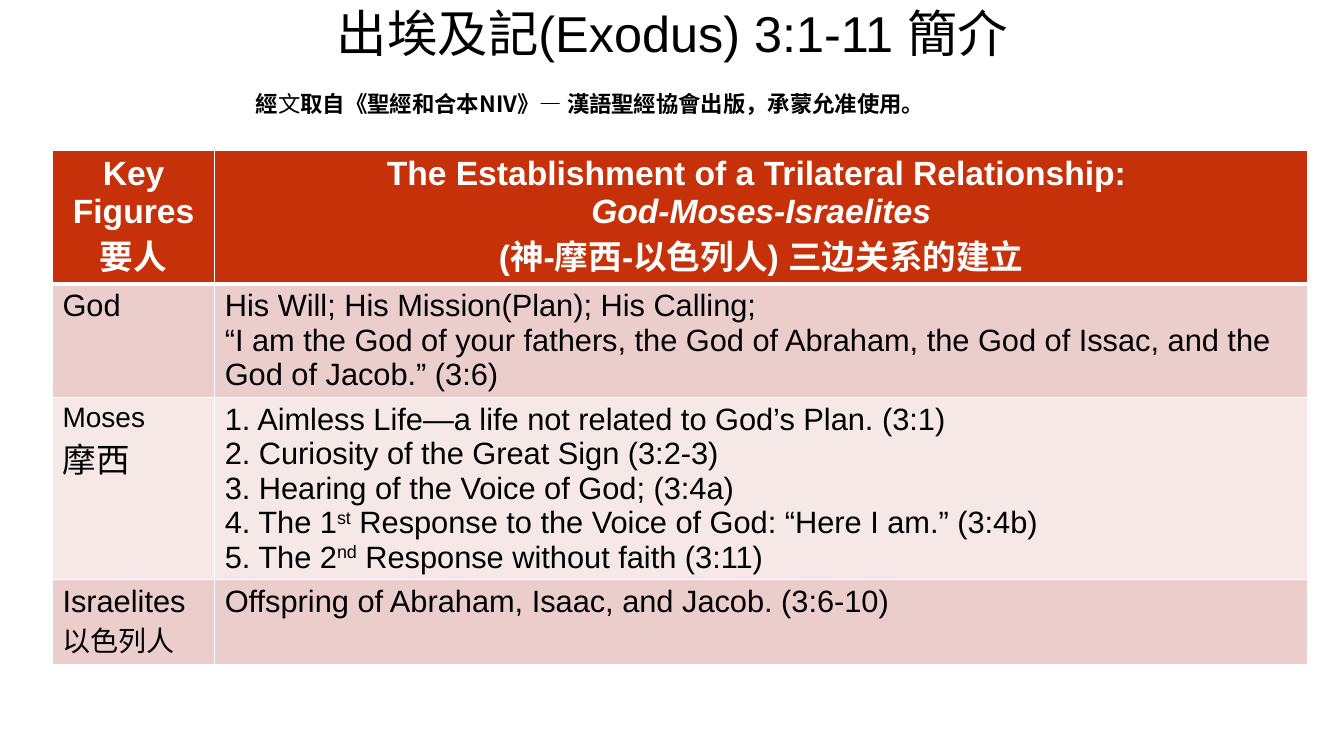
from lxml import etree
from pptx import Presentation
from pptx.dml.color import RGBColor
from pptx.enum.text import MSO_ANCHOR as Anchor, PP_ALIGN as Align
from pptx.oxml.ns import qn
from pptx.util import Inches, Pt

LATIN, CJK = "Arial", "Noto Sans CJK TC"
WHITE, BLACK, RED = "FFFFFF", "000000", "C73109"
DARK_BAND, LIGHT_BAND = "EBCECC", "F5E8E7"

# Each cell is a list of paragraphs; each paragraph is a list of (text, style) runs.
HEADER = [
    [[("Key Figures要人", {})]],
    [[("The Establishment of a Trilateral Relationship: \n", {}),
      ("God-Moses-Israelites\n", {"italic": True}),
      ("(神-摩西-以色列人) 三边关系的建立", {})]],
]
FIGURES = [
    ([[("God", {})]],
     [[("His Will; His Mission(Plan); His Calling;", {})],
      [("“I am the God of your fathers, the God of Abraham, the God of Issac, "
        "and the God of Jacob.” (3:6)", {})]]),
    ([[("Moses\n", {"size": 20}), ("摩西", {"size": 24})]],
     [[("1. Aimless Life—a life not related to God’s Plan. (3:1)", {})],
      [("2. Curiosity of the Great Sign (3:2-3)", {})],
      [("3. Hearing of the Voice of God; (3:4a)", {})],
      [("4. The 1", {}), ("st", {"raised": True}),
       (" Response to the Voice of God: “Here I am.” (3:4b)", {})],
      [("5. The 2", {}), ("nd", {"raised": True}),
       (" Response without faith (3:11)", {})]]),
    ([[("Israelites", {})], [("以色列人", {"size": 20})]],
     [[("Offspring of Abraham, Isaac, and Jacob. (3:6-10)", {})]]),
]
COLUMN_WIDTHS = [1.61, 10.84]
ROW_HEIGHTS = [1.31, 1.12, 1.81, 0.84]


def color(hex_string):
    return RGBColor.from_string(hex_string)


def add_run(paragraph, text, size, ink=BLACK, bold=False, italic=False,
            raised=False, font=LATIN):
    """Add one run; a closing newline becomes a line break."""
    run = paragraph.add_run()
    run.text = text.rstrip("\n")
    run.font.name, run.font.size = font, Pt(size)
    run.font.bold, run.font.italic = bold, italic
    run.font.color.rgb = color(ink)
    properties = run.font._element
    etree.SubElement(properties, qn("a:ea")).set("typeface", CJK)
    if raised:
        properties.set("baseline", "30000")
    if text.endswith("\n"):
        paragraph.add_line_break()


def fill_text(frame, paragraphs, align=Align.LEFT, **defaults):
    for index, runs in enumerate(paragraphs):
        paragraph = frame.add_paragraph() if index else frame.paragraphs[0]
        paragraph.alignment = align
        for text, style in runs:
            add_run(paragraph, text, **{**defaults, **style})


def set_borders(cell, bottom_width):
    """White cell borders; line elements go before the fill."""
    properties = cell._tc.get_or_add_tcPr()
    for index, side in enumerate(("lnL", "lnR", "lnT", "lnB")):
        line = etree.Element(qn(f"a:{side}"))
        line.set("w", str(Pt(bottom_width if side == "lnB" else 1)))
        solid = etree.SubElement(line, qn("a:solidFill"))
        etree.SubElement(solid, qn("a:srgbClr")).set("val", WHITE)
        properties.insert(index, line)


def place_title(slide, left, top, width, height):
    title = slide.shapes.title
    title.left, title.top = Inches(left), Inches(top)
    title.width, title.height = Inches(width), Inches(height)
    title.text_frame.vertical_anchor = Anchor.MIDDLE
    fill_text(title.text_frame, [[("出埃及記(Exodus) 3:1-11 簡介", {})]],
              Align.CENTER, size=36)


def add_credit(slide, left, top, width, height):
    box = slide.shapes.add_textbox(Inches(left), Inches(top),
                                   Inches(width), Inches(height))
    box.text_frame.word_wrap = True
    fill_text(box.text_frame, [[
        ("經", {}),
        ("文", {"font": LATIN, "bold": False}),
        ("取自《聖經和合本NIV》— 漢語聖經協會出版，承蒙允准使用。", {}),
    ]], size=16, bold=True, font=CJK)


def add_figures_table(slide, left, top):
    rows = [HEADER, *FIGURES]
    table = slide.shapes.add_table(
        len(rows), len(COLUMN_WIDTHS), Inches(left), Inches(top),
        Inches(sum(COLUMN_WIDTHS)), Inches(sum(ROW_HEIGHTS))).table
    for column, width in zip(table.columns, COLUMN_WIDTHS):
        column.width = Inches(width)
    for row_index, (contents, height) in enumerate(zip(rows, ROW_HEIGHTS)):
        table.rows[row_index].height = Inches(height)
        is_header = row_index == 0
        band = RED if is_header else DARK_BAND if row_index % 2 else LIGHT_BAND
        for column_index, paragraphs in enumerate(contents):
            cell = table.cell(row_index, column_index)
            cell.fill.solid()
            cell.fill.fore_color.rgb = color(band)
            set_borders(cell, 3 if is_header else 1)
            if is_header:
                fill_text(cell.text_frame, paragraphs, Align.CENTER,
                          size=24, ink=WHITE, bold=True)
            else:
                fill_text(cell.text_frame, paragraphs, size=22)


def main():
    presentation = Presentation()
    presentation.slide_width = Inches(13.33)
    presentation.slide_height = Inches(7.5)
    slide = presentation.slides.add_slide(presentation.slide_layouts[5])
    place_title(slide, 0.67, 0, 12, 0.64)
    add_figures_table(slide, 0.52, 1.49)
    add_credit(slide, 2.44, 0.85, 8.73, 0.37)
    presentation.save("out.pptx")


if __name__ == "__main__":
    main()
